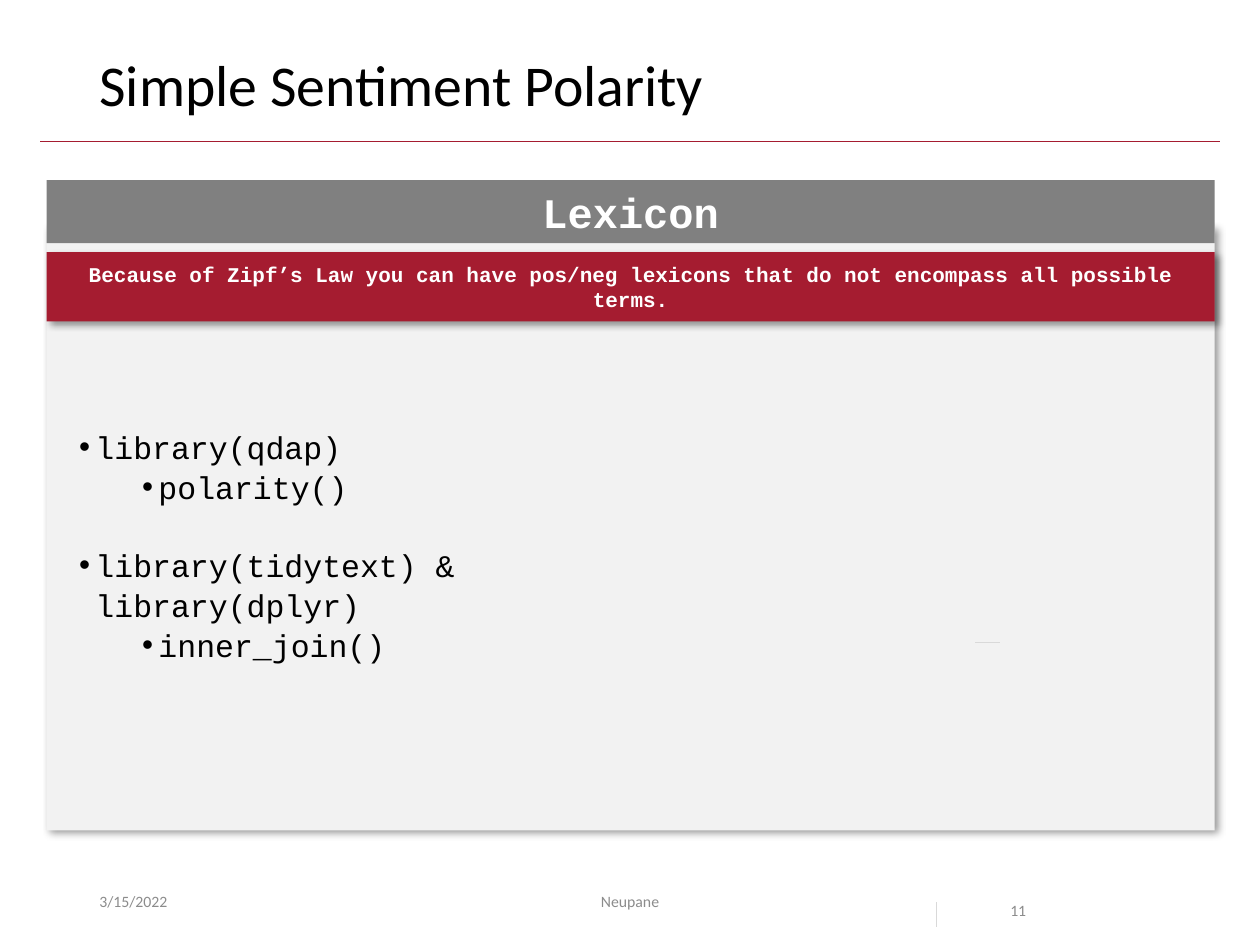
from lxml.etree import SubElement
from pptx import Presentation
from pptx.dml.color import RGBColor
from pptx.enum.shapes import MSO_CONNECTOR, MSO_SHAPE
from pptx.enum.text import MSO_ANCHOR, MSO_AUTO_SIZE, PP_ALIGN
from pptx.oxml.ns import qn
from pptx.util import Inches, Pt

# The page is a grid of 100 columns by 75 rows
WIDTH, HEIGHT = Inches(10), Inches(7.5)
COLUMNS, ROWS = 100, 75

COLORS = {
    "crimson": "A51C30",
    "gray": "808080",
    "panel": "F2F2F2",
    "rule": "D9D9D9",
    "footer": "8C8C8C",
    "black": "000000",
    "white": "FFFFFF",
}

TITLE = {"name": "Calibri", "size": Pt(33), "color": "black"}
FOOTER = {"name": "Calibri", "size": Pt(9), "color": "footer"}
CODE = {"name": "Courier New", "size": Pt(18), "color": "black"}
HEADING = {"name": "Courier New", "size": Pt(24), "bold": True, "color": "white"}
BANNER = HEADING | {"size": Pt(12)}

# Level, text, space before
CODE_LINES = [
    (0, "library(qdap)", 0),
    (1, "polarity()", 0),
    (0, "library(tidytext) & library(dplyr)", 21.6),
    (1, "inner_join()", 0),
]

PANEL_LEFT, PANEL_WIDTH = 3.7, 92.7


def color(name):
    return RGBColor.from_string(COLORS[name])


def place(column, row):
    return round(WIDTH * column / COLUMNS), round(HEIGHT * row / ROWS)


def add_span(paragraph, text, style):
    span = paragraph.add_run()
    span.text = text
    for key, value in style.items():
        if key == "color":
            span.font.color.rgb = color(value)
        else:
            setattr(span.font, key, value)


def write(shape, text, style, anchor=MSO_ANCHOR.MIDDLE, **layout):
    frame = shape.text_frame
    frame.word_wrap = True
    frame.vertical_anchor = anchor
    paragraph = frame.paragraphs[0]
    for key, value in layout.items():
        setattr(paragraph, key, value)
    add_span(paragraph, text, style)


def add_box(page, left, top, width, height):
    return page.shapes.add_textbox(*place(left, top), *place(width, height))


def add_shadow(shape):
    effects = shape._element.spPr.find(qn("a:effectLst"))
    shadow = SubElement(effects, qn("a:outerShdw"), blurRad=str(Pt(4)),
                        dist=str(Pt(3)), dir="2700000", algn="tl", rotWithShape="0")
    tint = SubElement(shadow, qn("a:srgbClr"), val=COLORS["black"])
    SubElement(tint, qn("a:alpha"), val="40000")


def add_band(page, top, height, fill, shadow=False):
    band = page.shapes.add_shape(MSO_SHAPE.RECTANGLE, *place(PANEL_LEFT, top),
                                 *place(PANEL_WIDTH, height))
    band.shadow.inherit = False
    band.fill.solid()
    band.fill.fore_color.rgb = color(fill)
    band.line.fill.background()
    if shadow:
        add_shadow(band)
    return band


def add_rule(page, start, end, name):
    rule = page.shapes.add_connector(MSO_CONNECTOR.STRAIGHT, *place(*start), *place(*end))
    rule.line.color.rgb = color(name)
    rule.line.width = Pt(0.5)
    SubElement(rule._element.spPr, qn("a:effectLst"))


def add_bullets(page, lines, *area):
    frame = add_box(page, *area).text_frame
    frame.word_wrap = True
    frame.auto_size = MSO_AUTO_SIZE.SHAPE_TO_FIT_TEXT
    for index, (level, text, gap) in enumerate(lines):
        paragraph = frame.paragraphs[0] if index == 0 else frame.add_paragraph()
        paragraph.level = level
        paragraph.line_spacing = 1.06
        paragraph.space_before = Pt(gap)
        add_span(paragraph, text, CODE)
        properties = paragraph._p.get_or_add_pPr()
        properties.set("marL", str(Inches(0.13 + 0.5 * level)))
        properties.set("indent", str(Inches(-0.13)))
        SubElement(properties, qn("a:buFont"), typeface="Arial")
        SubElement(properties, qn("a:buChar"), char="•")


def main():
    deck = Presentation()
    deck.slide_width, deck.slide_height = WIDTH, HEIGHT
    page = deck.slides.add_slide(deck.slide_layouts[6])

    # Title and its rule
    add_rule(page, (3.2, 11.2), (96.8, 11.2), "crimson")
    write(add_box(page, 6.9, 4, 86.2, 6.5), "Simple Sentiment Polarity", TITLE,
          MSO_ANCHOR.TOP, line_spacing=0.9)

    # Footer
    write(add_box(page, 6.9, 69.5, 22.5, 4), "3/15/2022", FOOTER)
    write(add_box(page, 33.1, 69.5, 33.8, 4), "Neupane", FOOTER, alignment=PP_ALIGN.CENTER)
    write(add_box(page, 79.2, 69.5, 9.4, 4), "11", FOOTER, MSO_ANCHOR.TOP, line_spacing=2.0)

    # Lexicon panel
    add_band(page, 17.9, 48, "panel", shadow=True)
    write(add_band(page, 14.3, 5, "gray"), "Lexicon", HEADING, alignment=PP_ALIGN.CENTER)
    add_bullets(page, CODE_LINES, 5.3, 33.3, 42.4, 16.2)
    write(add_band(page, 20, 5.5, "crimson", shadow=True),
          "Because of Zipf’s Law you can have pos/neg lexicons that do not "
          "encompass all possible terms.", BANNER, alignment=PP_ALIGN.CENTER)

    # Small rules
    add_rule(page, (74.3, 71.6), (74.3, 73.6), "rule")
    add_rule(page, (77.4, 51), (79.4, 51), "rule")

    deck.save("out.pptx")


if __name__ == "__main__":
    main()
